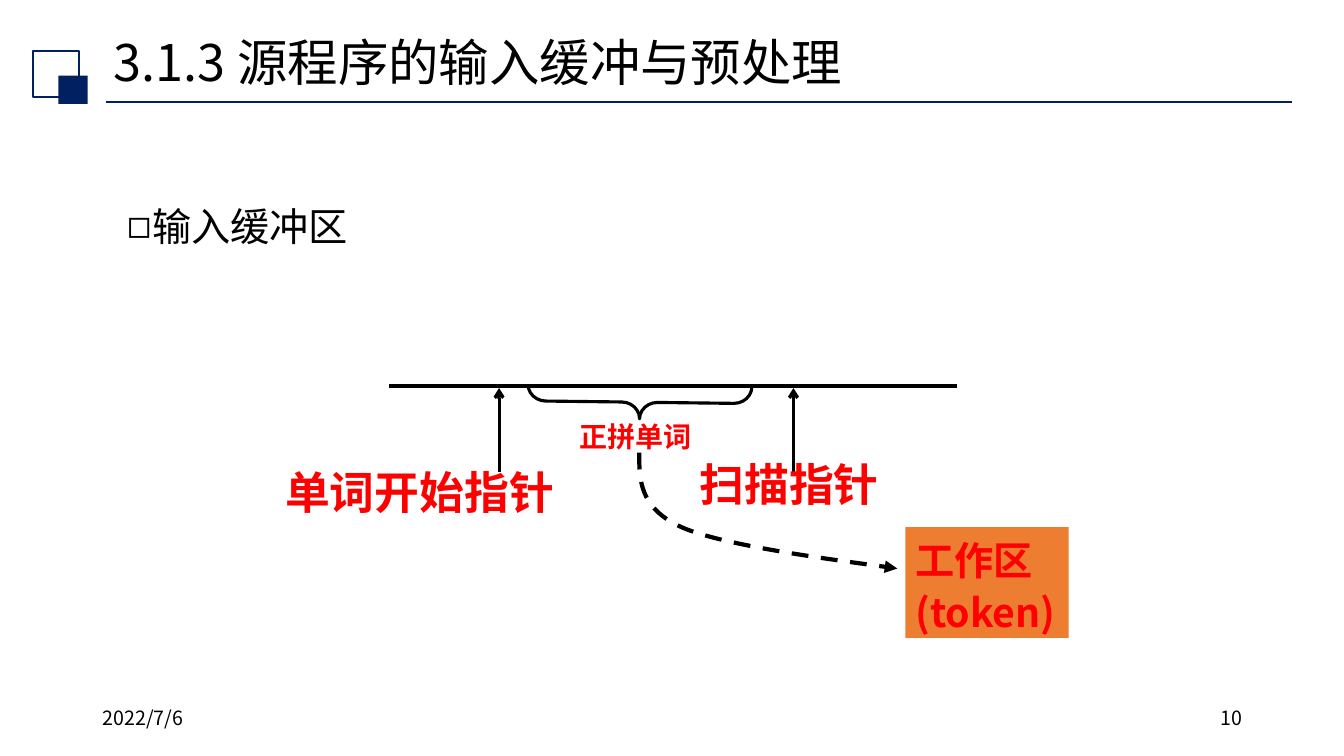
"""Build the slide on the input buffer of a source program."""
from dataclasses import dataclass

from lxml.etree import SubElement
from pptx import Presentation
from pptx.dml.color import RGBColor
from pptx.enum.dml import MSO_LINE
from pptx.enum.shapes import MSO_CONNECTOR, MSO_SHAPE
from pptx.enum.text import MSO_ANCHOR, MSO_AUTO_SIZE, PP_ALIGN
from pptx.oxml.ns import qn
from pptx.shapes.autoshape import Shape
from pptx.shapes.connector import Connector
from pptx.slide import Slide
from pptx.text.text import TextFrame
from pptx.util import Emu, Pt

PX = 9144
FONT = "Noto Sans CJK SC"
NAVY, BLACK, RED, ORANGE = "002060", "000000", "FF0000", "ED7D31"


@dataclass(frozen=True)
class Box:
    left: int
    top: int
    width: int
    height: int

    def emu(self) -> tuple[Emu, Emu, Emu, Emu]:
        return px(self.left), px(self.top), px(self.width), px(self.height)


@dataclass(frozen=True)
class Label:
    text: str
    box: Box
    size: int
    color: str = RED
    bold: bool = True
    spacing: float = 1.1
    align: PP_ALIGN = PP_ALIGN.LEFT


@dataclass(frozen=True)
class Rule:
    start: tuple[int, int]
    end: tuple[int, int]
    color: str = BLACK
    weight: float = 2.25
    head: str = ""


TITLE = Label("3.1.3 源程序的输入缓冲与预处理", Box(103, 34, 1150, 61), 36, BLACK, False, 0.9)
TOPIC = Label("输入缓冲区", Box(116, 158, 1070, 451), 28, BLACK, False, 1.5)
WORK_AREA = Label("工作区(token)", Box(898, 523, 162, 110), 28)
LABELS = (
    Label("2022/7/6", Box(92, 695, 300, 40), 14, BLACK, False, 1.0),
    Label("10", Box(942, 695, 300, 40), 14, BLACK, False, 1.0, PP_ALIGN.RIGHT),
    Label("单词开始指针", Box(273, 451, 295, 65), 32),
    Label("扫描指针", Box(684, 443, 200, 65), 32),
    Label("正拼单词", Box(565, 408, 151, 45), 20),
)
RULES = (
    Rule((105, 101), (1281, 101), NAVY, 1.25),
    Rule((386, 383), (949, 383)),
    *(Rule((x, 468), (x, 385), head="arrow") for x in (495, 787)),
)
TOKEN_START = (634, 449)
TOKEN_CURVE = (
    (634, 476), (634, 504), (676, 523),
    (719, 542), (856, 559), (890, 564),
)


def px(length: int) -> Emu:
    """Turn px into EMU."""
    return Emu(length * PX)


def rgb(color: str) -> RGBColor:
    """Turn a hex string into a colour."""
    return RGBColor.from_string(color)


def write(frame: TextFrame, label: Label) -> None:
    """Write a label as one formatted run."""
    frame.word_wrap = True
    frame.auto_size = MSO_AUTO_SIZE.NONE
    paragraph = frame.paragraphs[0]
    paragraph.alignment = label.align
    paragraph.line_spacing = label.spacing
    paragraph.space_before = Pt(0)
    run = paragraph.add_run()
    run.text = label.text
    run.font.size = Pt(label.size)
    run.font.bold = label.bold
    run.font.color.rgb = rgb(label.color)
    run.font.name = FONT
    SubElement(run.font._element, qn("a:ea"), typeface=FONT)


def stroke(shape: Shape | Connector, color: str, weight: float, head: str = "") -> None:
    """Set the line of a shape and the arrowhead at its end."""
    shape.line.color.rgb = rgb(color)
    shape.line.width = Pt(weight)
    if head:
        SubElement(shape.line._get_or_add_ln(), qn("a:tailEnd"), type=head)


def add_rule(slide: Slide, rule: Rule) -> None:
    """Draw a straight line or arrow."""
    ends = (px(length) for length in rule.start + rule.end)
    connector = slide.shapes.add_connector(MSO_CONNECTOR.STRAIGHT, *ends)
    stroke(connector, rule.color, rule.weight, rule.head)
    SubElement(connector._element.spPr, qn("a:effectLst"))


def add_preset(slide: Slide, kind: MSO_SHAPE, box: Box, fill: str = "",
               line: str = "", weight: float = 1.5) -> Shape:
    """Draw a preset shape with an optional fill and line."""
    shape = slide.shapes.add_shape(kind, *box.emu())
    shape.shadow.inherit = False
    if fill:
        shape.fill.solid()
        shape.fill.fore_color.rgb = rgb(fill)
    else:
        shape.fill.background()
    if line:
        stroke(shape, line, weight)
    else:
        shape.line.fill.background()
    return shape


def add_token_curve(slide: Slide) -> None:
    """Draw the dashed curve from the word to the work area."""
    builder = slide.shapes.build_freeform(*TOKEN_START, scale=PX)
    builder.add_line_segments(TOKEN_CURVE, close=False)
    curve = builder.convert_to_shape()
    segments = list(curve._element.iter(qn("a:lnTo")))
    outline = segments[0].getparent()
    for first in range(0, len(segments), 3):
        bezier = SubElement(outline, qn("a:cubicBezTo"))
        for segment in segments[first:first + 3]:
            bezier.append(segment[0])
            outline.remove(segment)
    curve.shadow.inherit = False
    curve.fill.background()
    curve.line.dash_style = MSO_LINE.DASH
    stroke(curve, BLACK, 3, "triangle")


def fill_placeholders(slide: Slide) -> None:
    """Place and fill the title and the bulleted topic."""
    title, body = slide.shapes.title, slide.placeholders[1]
    for holder, label in ((title, TITLE), (body, TOPIC)):
        holder.left, holder.top, holder.width, holder.height = label.box.emu()
    title.text_frame.vertical_anchor = MSO_ANCHOR.MIDDLE
    write(title.text_frame, TITLE)
    body.text_frame.margin_top = px(19)
    properties = body.text_frame.paragraphs[0]._p.get_or_add_pPr()
    properties.set("marL", str(px(25)))
    properties.set("indent", str(px(-25)))
    SubElement(properties, qn("a:buChar"), char="◻")
    write(body.text_frame, TOPIC)


def main() -> None:
    """Build and save the slide."""
    deck = Presentation()
    deck.slide_width, deck.slide_height = px(1333), px(750)
    slide = deck.slides.add_slide(deck.slide_layouts[1])
    fill_placeholders(slide)
    add_preset(slide, MSO_SHAPE.RECTANGLE, Box(33, 51, 45, 45), line=NAVY)
    add_preset(slide, MSO_SHAPE.RECTANGLE, Box(58, 75, 29, 28), fill=NAVY)
    for rule in RULES:
        add_rule(slide, rule)
    work_area = add_preset(slide, MSO_SHAPE.RECTANGLE, WORK_AREA.box, fill=ORANGE)
    work_area.text_frame.vertical_anchor = MSO_ANCHOR.TOP
    write(work_area.text_frame, WORK_AREA)
    add_token_curve(slide)
    brace = add_preset(slide, MSO_SHAPE.LEFT_BRACE, Box(618, 288, 33, 222),
                       line=BLACK, weight=2.25)
    brace.adjustments[0] = 0.54
    brace.rotation = 270.7
    for label in LABELS:
        write(slide.shapes.add_textbox(*label.box.emu()).text_frame, label)
    deck.save("out.pptx")


if __name__ == "__main__":
    main()
